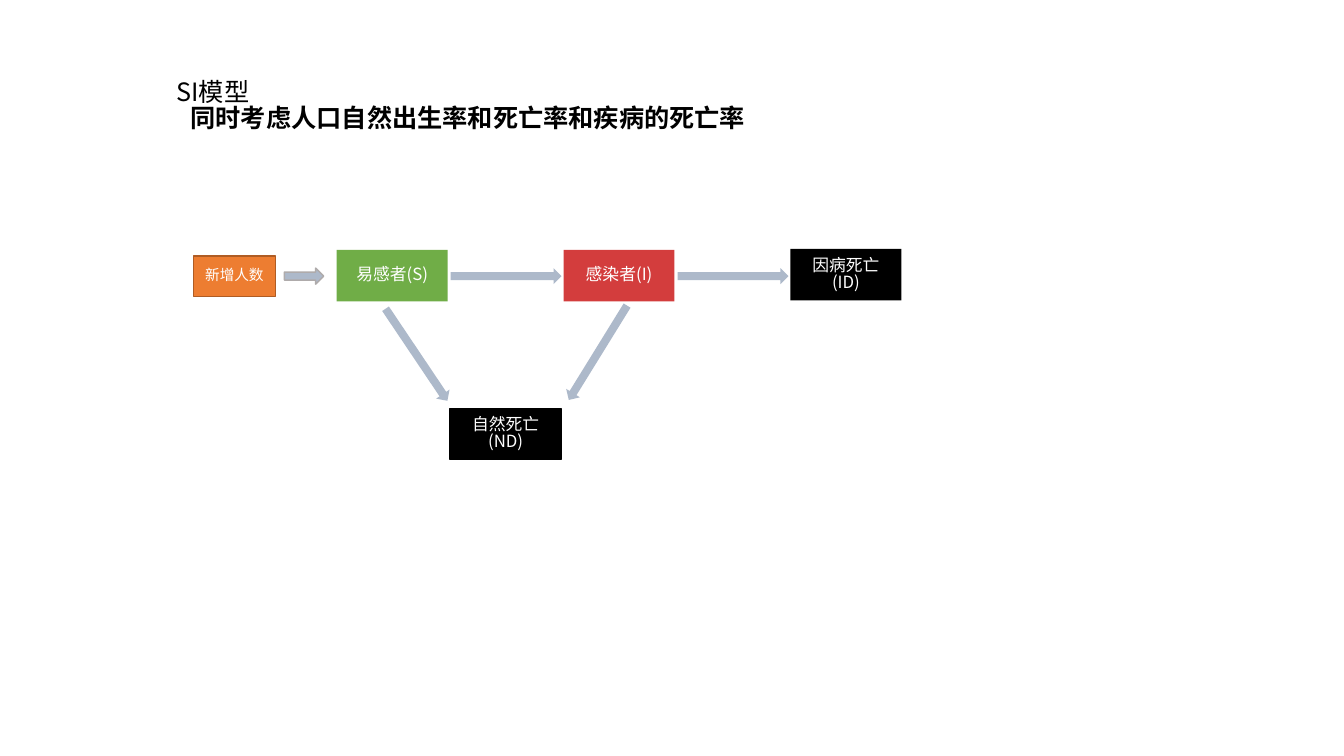
from pptx import Presentation
from pptx.dml.color import RGBColor
from pptx.enum.shapes import MSO_SHAPE as SHAPE
from pptx.enum.text import MSO_ANCHOR as ANCHOR, PP_ALIGN as ALIGN
from pptx.oxml.ns import qn
from pptx.util import Inches, Pt

SANS = "Noto Sans CJK SC"
SERIF = "Times New Roman"
WHITE, BLACK, STEEL = "FFFFFF", "000000", "ADB9CA"
GREEN, RED, ORANGE = "70AD47", "D33D3D", "ED7D31"
BROWN, GREY = "AF5C24", "AFABAB"
BOX_W, BOX_H, ARROW_H = 1.1, 0.51, 0.16


def rgb(value):
    return RGBColor.from_string(value)


def add_run(p, text, size, color, name=SANS, bold=False):
    r = p.add_run()
    r.text = text
    for key, value in {"size": Pt(size), "name": name, "bold": bold}.items():
        setattr(r.font, key, value)
    r.font.color.rgb = rgb(color)
    ea = r.font._element.makeelement(qn("a:ea"), {"typeface": SANS})
    r.font._element.find(qn("a:latin")).addnext(ea)


def add_shape(s, kind, box, fill, line=None):
    sp = s.shapes.add_shape(kind, *map(Inches, box))
    sp.shadow.inherit = False
    sp.fill.solid()
    sp.fill.fore_color.rgb = rgb(fill)
    if line:
        sp.line.color.rgb = rgb(line)
        sp.line.width = Pt(1)
    else:
        sp.line.fill.background()
    return sp


def add_box(s, box, lines, fill, line=None, size=12):
    tf = add_shape(s, SHAPE.RECTANGLE, box, fill, line).text_frame
    tf.word_wrap = True
    tf.vertical_anchor = ANCHOR.MIDDLE
    for i, text in enumerate(lines):
        p = tf.add_paragraph() if i else tf.paragraphs[0]
        p.alignment = ALIGN.CENTER
        p.line_spacing = 0.84
        add_run(p, text, size, WHITE)


def add_arrow(s, x, y, w=BOX_W, angle=0, line=None):
    sp = add_shape(s, SHAPE.RIGHT_ARROW, (x, y, w, ARROW_H), STEEL, line)
    sp.rotation = angle


def add_title(s, x, y, w, h):
    sp = s.shapes.title
    sp.left, sp.top, sp.width, sp.height = map(Inches, (x, y, w, h))
    tf = sp.text_frame
    tf.word_wrap = True
    tf.vertical_anchor = ANCHOR.TOP
    model, topic = tf.paragraphs[0], tf.add_paragraph()
    for p, align in ((model, ALIGN.LEFT), (topic, ALIGN.JUSTIFY)):
        p.alignment = align
        p.line_spacing = 0.84
        p.space_before = Pt(0)
    topic._p.get_or_add_pPr().set("indent", str(Inches(0.14)))
    add_run(model, "SI模型", 18, BLACK)
    add_run(topic, "同时考虑人口自然出生率和死亡率和疾病的死亡率", 18, BLACK, SERIF, True)


def add_flow(s, x, y):
    step = 2.25
    add_box(s, (x, y + 0.07, 0.81, 0.4), ["新增人数"], ORANGE, BROWN, 10.5)
    add_arrow(s, x + 0.9, y + 0.19, 0.39, line=GREY)
    first = x + 1.42
    stages = (
        (["易感者(S)"], GREEN, 0.01),
        (["感染者(I)"], RED, 0.01),
        (["因病死亡", "(ID)"], BLACK, 0),
    )
    for i, (lines, fill, drop) in enumerate(stages):
        left = first + i * step
        add_box(s, (left, y + drop, BOX_W, BOX_H), lines, fill)
        if i < len(stages) - 1:
            add_arrow(s, left + 1.13, y + 0.19)
    add_box(s, (first + step / 2, y + 1.58, BOX_W, BOX_H), ["自然死亡(ND)"], BLACK, BLACK)
    add_arrow(s, first + 0.24, y + 0.97, angle=56.1)
    add_arrow(s, first + 2.04, y + 0.95, angle=121.7)


def main():
    prs = Presentation()
    prs.slide_width, prs.slide_height = Inches(13.33), Inches(7.5)
    s = prs.slides.add_slide(prs.slide_layouts[5])
    add_title(s, 1.65, 0.76, 9.55, 0.71)
    add_flow(s, 1.92, 2.47)
    prs.save("out.pptx")


if __name__ == "__main__":
    main()
